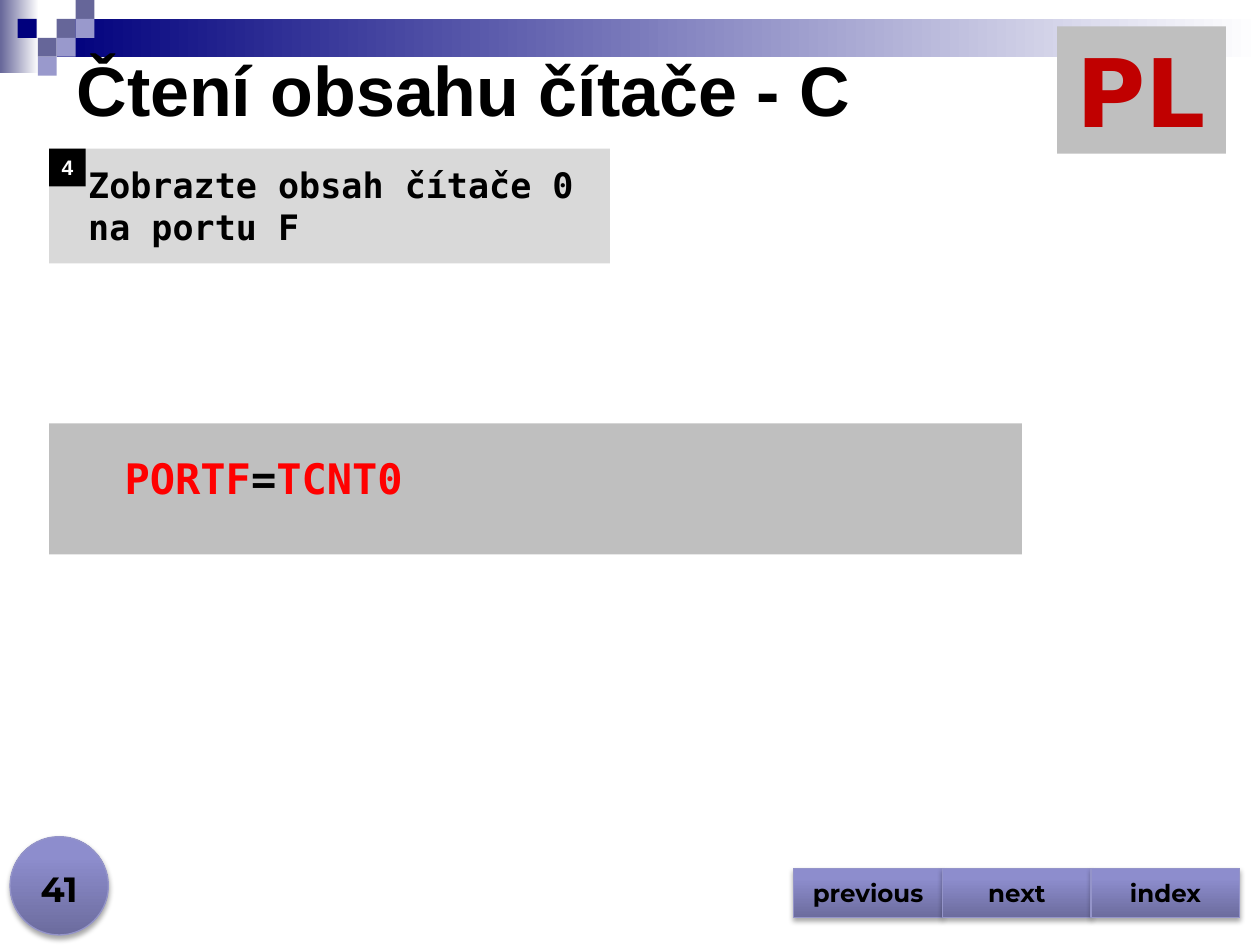
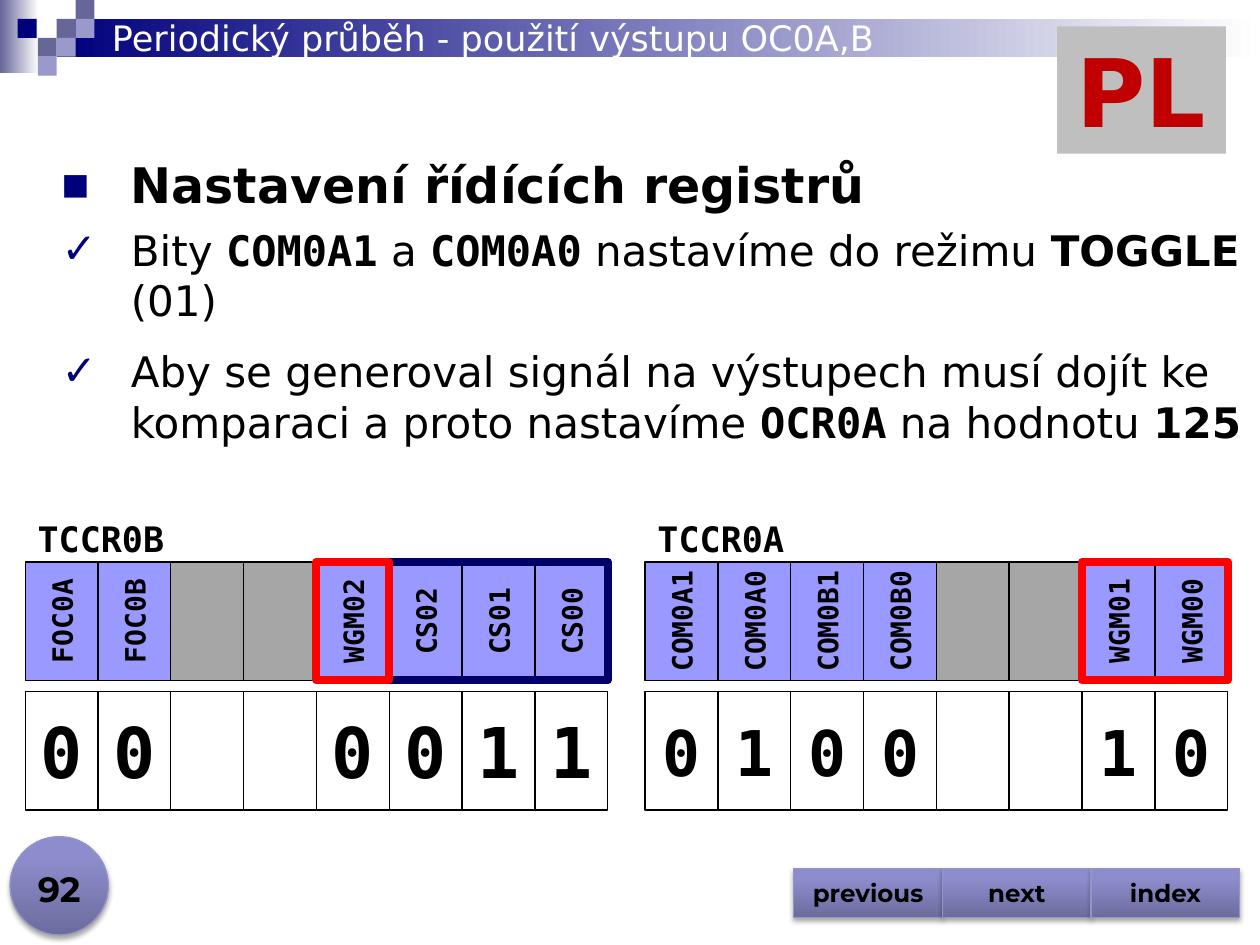
from dataclasses import dataclass

from lxml import etree
from pptx import Presentation
from pptx import util as u
from pptx.dml.color import RGBColor
from pptx.enum import shapes, text
from pptx.oxml.ns import qn

COLUMNS, ROWS = 100, 75
RECT = shapes.MSO_SHAPE.RECTANGLE
LEFT, CENTER = text.PP_ALIGN.LEFT, text.PP_ALIGN.CENTER
TOP, MIDDLE, BOTTOM = (text.MSO_ANCHOR.TOP, text.MSO_ANCHOR.MIDDLE,
                       text.MSO_ANCHOR.BOTTOM)


@dataclass(frozen=True)
class Theme:
    sans: str = "DejaVu Sans"
    mono: str = "DejaVu Sans Mono"
    heading: str = "Arial"
    label: str = "Montserrat"
    black: str = "000000"
    white: str = "FFFFFF"
    navy: str = "00007D"
    slate: str = "666699"
    lilac: str = "9999CC"
    bit: str = "9999FF"
    reserved: str = "A6A6A6"
    panel: str = "BFBFBF"
    task: str = "D9D9D9"
    red: str = "FF0000"
    subject: str = "C00000"
    clock: str = "000066"
    rim: str = "9494C9"
    gloss: tuple = ((0, "6C6C9E"), (80, "8D8DCD"), (100, "8C8CCF"))
    tiny: int = 12
    button: int = 14
    bit_name: int = 16
    small: int = 20
    body: int = 24
    lead: int = 28
    digit: int = 36
    title: int = 40
    huge: int = 54
    hairline: float = 0.75
    outline: float = 4.5


def add_xml(parent, tag, **attributes):
    return etree.SubElement(parent, qn(tag), attributes)


class Deck:
    def __init__(self, theme):
        self.theme = theme
        self.show = Presentation()
        self.show.slide_width, self.show.slide_height = u.Inches(10), u.Inches(7.5)
        self.slide = None

    def place(self, at):
        column = self.show.slide_width / COLUMNS
        row = self.show.slide_height / ROWS
        return [round(n * size) for n, size in zip(at, (column, row) * 2)]

    def gradient(self, shape, stops, angle):
        shape.fill.gradient()
        shape.fill.gradient_angle = angle
        stop_list = shape.element.spPr.find(qn("a:gradFill")).find(qn("a:gsLst"))
        for stop in list(stop_list):
            stop_list.remove(stop)
        for percent, color in stops:
            stop = add_xml(stop_list, "a:gs", pos=str(percent * 1000))
            add_xml(stop, "a:srgbClr", val=color)

    def box(self, at, fill=None, line=None, width=None, preset=RECT, angle=0):
        shape = self.slide.shapes.add_shape(preset, *self.place(at))
        shape.shadow.inherit = False
        if fill is None:
            shape.fill.background()
        elif isinstance(fill, tuple):
            self.gradient(shape, fill, angle)
        else:
            shape.fill.solid()
            shape.fill.fore_color.rgb = RGBColor.from_string(fill)
        if line:
            shape.line.color.rgb = RGBColor.from_string(line)
            shape.line.width = u.Pt(width or self.theme.hairline)
        else:
            shape.line.fill.background()
        return shape

    def glossy(self, at, preset):
        shape = self.box(at, self.theme.gloss, self.theme.rim, preset=preset, angle=90)
        effects = shape.element.spPr.find(qn("a:effectLst"))
        shadow = add_xml(effects, "a:outerShdw", blurRad=str(u.Pt(3.1)),
                         dist=str(u.Pt(1.8)), dir="5400000", rotWithShape="0")
        color = add_xml(shadow, "a:srgbClr", val=self.theme.black)
        add_xml(color, "a:alpha", val="35000")
        return shape

    def style(self, font, face, size, color=None, bold=True):
        font.name, font.size, font.bold = face, u.Pt(size), bold
        font.color.rgb = RGBColor.from_string(color or self.theme.black)

    def caption(self, shape, words, face, size, color=None, bold=True, align=LEFT,
                anchor=TOP, insets=(1, 0.5, 1, 0.5), wrap=True):
        frame = shape.text_frame
        frame.word_wrap = wrap
        frame.vertical_anchor = anchor
        (frame.margin_left, frame.margin_top,
         frame.margin_right, frame.margin_bottom) = self.place(insets)
        frame.text = words
        paragraph = frame.paragraphs[0]
        paragraph.alignment = align
        for run in paragraph.runs:
            self.style(run.font, face, size, color, bold)
        return frame

    def label(self, at, words, face, size, **look):
        holder = self.slide.shapes.add_textbox(*self.place(at))
        return self.caption(holder, words, face, size, **look)

    def runs(self, paragraph, parts):
        for words, *look in parts:
            run = paragraph.add_run()
            run.text = words
            self.style(run.font, *look)

    def bullet(self, paragraph, mark, percent):
        properties = paragraph._p.get_or_add_pPr()
        indent = self.place((5.5,))[0]
        properties.set("marL", str(indent))
        properties.set("indent", str(-indent))
        add_xml(add_xml(properties, "a:buClr"), "a:srgbClr", val=self.theme.navy)
        add_xml(properties, "a:buSzPct", val=str(percent * 1000))
        add_xml(properties, "a:buFont", typeface=self.theme.sans)
        add_xml(properties, "a:buChar", char=mark)

    def bullets(self, at, items):
        frame = self.label(at, "", self.theme.sans, self.theme.body)
        for index, (mark, percent, after, parts) in enumerate(items):
            paragraph = frame.add_paragraph() if index else frame.paragraphs[0]
            self.bullet(paragraph, mark, percent)
            paragraph.space_after = u.Pt(after)
            self.runs(paragraph, parts)

    def new_slide(self):
        t = self.theme
        self.slide = self.show.slides.add_slide(self.show.slide_layouts[6])
        self.box((0, 0, 3.1, 5.8), ((0, t.slate), (100, t.white)))
        self.box((4.5, 1.5, 95.5, 3), ((0, t.navy), (100, t.white)))
        mosaic = ((4.5, 1.5, t.slate), (6, 0, t.slate), (6, 1.5, t.lilac),
                  (3, 3, t.slate), (1.4, 1.5, t.navy), (4.5, 3, t.lilac),
                  (3, 4.5, t.lilac))
        for left, top, color in mosaic:
            self.box((left, top, 1.5, 1.5), color)

    def navigation(self, number):
        t = self.theme
        self.glossy((0.8, 66.4, 7.8, 7.8), shapes.MSO_SHAPE.OVAL)
        self.label((0, 67.7, 9.4, 5), number, t.label, t.small,
                   align=CENTER, anchor=BOTTOM)
        for index, target in enumerate(("previous", "next", "index")):
            button = self.glossy((63 + 11.8 * index, 68.9, 11.8, 3.9),
                                 shapes.MSO_SHAPE.ACTION_BUTTON_CUSTOM)
            self.caption(button, target, t.label, t.button, align=CENTER, anchor=MIDDLE)

    def subject(self):
        t = self.theme
        self.caption(self.box((83.9, 2.1, 13.4, 10.1), t.panel), "PL", t.sans, t.huge,
                     t.subject, align=CENTER)

    def cell(self, at, words, fill, size, vertical=False):
        shape = self.box(at, fill, self.theme.black)
        if words:
            frame = self.caption(shape, words, self.theme.mono, size, align=CENTER,
                                 anchor=MIDDLE, wrap=False)
            if vertical:
                frame._txBody.bodyPr.set("vert", "vert270")


class Register:
    cell_width, cell_height, name_row, value_row = 5.78, 9.4, 44.6, 54.9

    def __init__(self, deck, left):
        self.deck, self.left = deck, left

    def span(self, first, count, top):
        return (self.left + first * self.cell_width, top,
                count * self.cell_width, self.cell_height)

    def draw(self, name, bits, values, digit_size):
        t = self.deck.theme
        self.deck.label((self.left, 40.6, 20.3, 4.4), name, t.mono, t.small)
        for index, (bit, value) in enumerate(zip(bits, values)):
            self.deck.cell(self.span(index, 1, self.name_row), bit,
                           t.bit if bit else t.reserved, t.bit_name, vertical=True)
            self.deck.cell(self.span(index, 1, self.value_row), value,
                           t.white, digit_size)

    def mark(self, first, count, color):
        self.deck.box(self.span(first, count, self.name_row), line=color,
                      width=self.deck.theme.outline)


def counter_reading(deck):
    t = deck.theme
    deck.new_slide()
    deck.label((5.1, 3.1, 94.9, 7.9), "Čtení obsahu čítače - C", t.heading, t.title,
               anchor=MIDDLE)
    code = deck.caption(deck.box((3.9, 33.6, 77.2, 10.4), t.panel), "", t.mono, t.body,
                        insets=(1, 2.3, 1, 2.3))
    deck.runs(code.paragraphs[0], [
        ("\t", t.mono, t.body), ("PORTF", t.mono, t.body, t.red),
        ("=", t.mono, t.body), ("TCNT0", t.mono, t.body, t.red)])
    deck.caption(deck.box((3.9, 11.8, 44.5, 9.1), t.task),
                 "Zobrazte obsah čítače 0 na portu F", t.mono, t.small,
                 insets=(3.1, 1.2, 1, 1.2))
    deck.caption(deck.box((3.9, 11.8, 2.9, 3), t.black), "4", t.heading, t.tiny, t.white,
                 align=CENTER, anchor=MIDDLE, wrap=False)
    deck.navigation("41")
    deck.subject()


def periodic_signal(deck):
    t = deck.theme
    plain = (t.sans, t.body, t.black, False)
    strong = (t.sans, t.body)
    code = (t.mono, t.body)
    deck.new_slide()

    control_a = Register(deck, 51.2)
    control_a.draw("TCCR0A",
                   ("COM0A1", "COM0A0", "COM0B1", "COM0B0", "", "", "WGM01", "WGM00"),
                   ("0", "1", "0", "0", "", "", "1", "0"), t.digit)
    control_b = Register(deck, 2)
    control_b.draw("TCCR0B",
                   ("FOC0A", "FOC0B", "", "", "WGM02", "CS02", "CS01", "CS00"),
                   ("0", "0", "", "", "0", "0", "1", "1"), t.title)
    control_b.mark(5, 3, t.clock)
    control_a.mark(6, 2, t.red)
    control_b.mark(4, 1, t.red)

    deck.navigation("92")
    deck.bullets((3.9, 11.8, 96.1, 24.4), [
        ("■", 60, 6, [("Nastavení řídících registrů", t.sans, t.lead)]),
        ("✓", 100, 12, [
            ("Bity ", *plain), ("COM0A1", *code), (" a ", *plain), ("COM0A0", *code),
            (" nastavíme do režimu ", *plain), ("TOGGLE", *strong), (" (01)", *plain)]),
        ("✓", 100, 12, [
            ("Aby se generoval signál na výstupech musí dojít ke komparaci "
             "a proto nastavíme ", *plain),
            ("OCR0A", *code), (" na hodnotu ", *plain), ("125", *strong)])])
    deck.label((7.9, 0.8, 85, 4.4), "Periodický průběh - použití výstupu OC0A,B",
               t.sans, t.small, color=t.white, bold=False, anchor=MIDDLE)
    deck.subject()


def main():
    deck = Deck(Theme())
    counter_reading(deck)
    periodic_signal(deck)
    deck.show.save("out.pptx")


if __name__ == "__main__":
    main()
